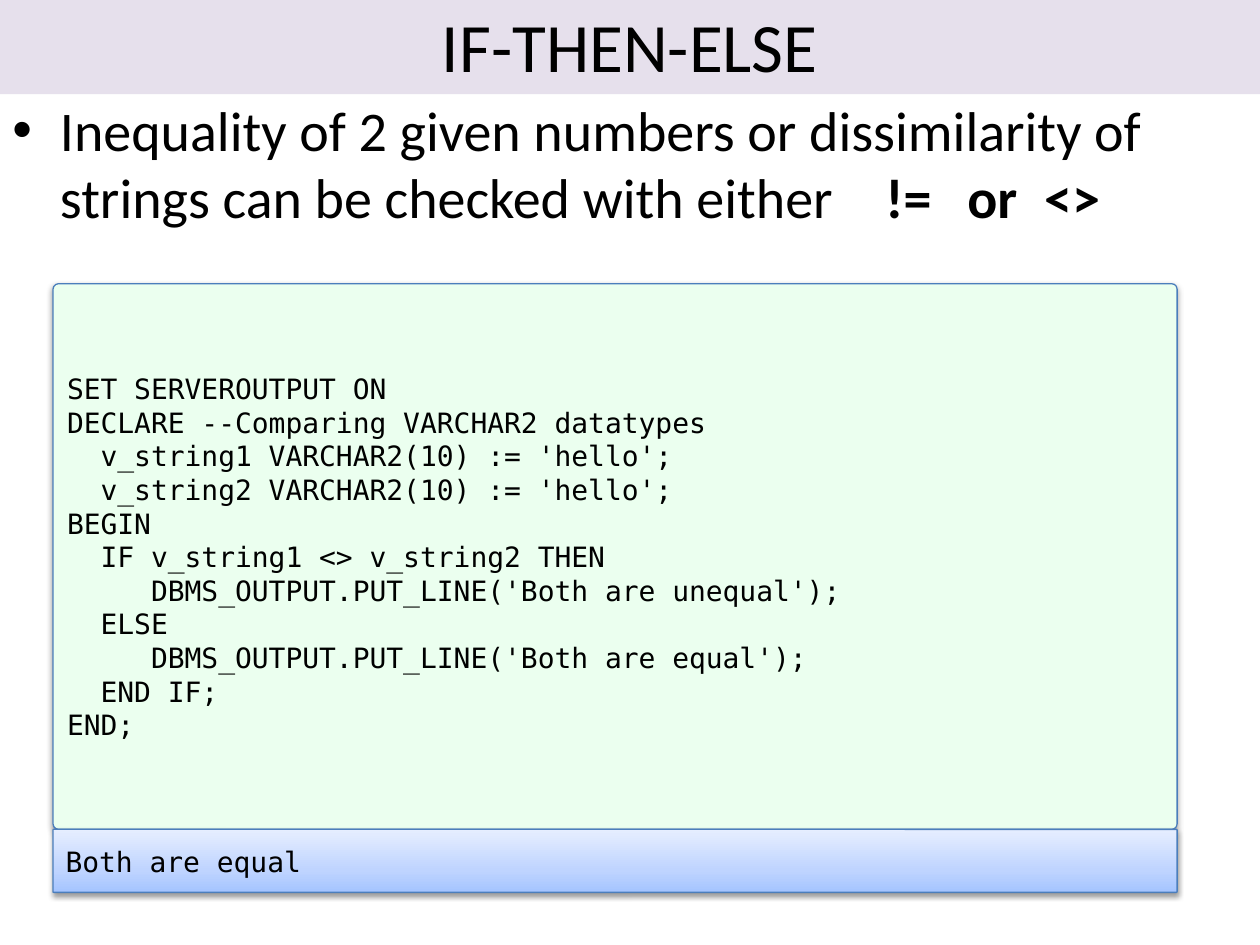
from copy import deepcopy

from lxml.etree import SubElement
from pptx import Presentation
from pptx.dml.color import RGBColor
from pptx.enum.shapes import MSO_SHAPE
from pptx.enum.text import MSO_ANCHOR, PP_ALIGN
from pptx.oxml.ns import qn
from pptx.util import Cm, Pt

CODE = """SET SERVEROUTPUT ON
DECLARE --Comparing VARCHAR2 datatypes
  v_string1 VARCHAR2(10) := 'hello';
  v_string2 VARCHAR2(10) := 'hello';
BEGIN
  IF v_string1 <> v_string2 THEN
     DBMS_OUTPUT.PUT_LINE('Both are unequal');
  ELSE
     DBMS_OUTPUT.PUT_LINE('Both are equal');
  END IF;
END;"""
OUTPUT_STOPS = [(0, "A4C4FF"), (0.35, "BFD4FF"), (1, "E6EEFF")]


def color(hex_string):
    """Return the colour for a hex string."""
    return RGBColor.from_string(hex_string)


def set_font(paragraph, name, size):
    """Give a paragraph its black font."""
    paragraph.font.name = name
    paragraph.font.size = Pt(size)
    paragraph.font.color.rgb = color("000000")


def add_title(slide, left, top, width, height, text):
    """Add the tinted title band."""
    shape = slide.shapes.add_shape(
        MSO_SHAPE.RECTANGLE, Cm(left), Cm(top), Cm(width), Cm(height))
    shape.shadow.inherit = False
    shape.fill.solid()
    shape.fill.fore_color.rgb = color("E6E0EC")
    shape.line.fill.background()
    shape.text_frame.vertical_anchor = MSO_ANCHOR.MIDDLE
    paragraph = shape.text_frame.paragraphs[0]
    paragraph.text = text
    paragraph.alignment = PP_ALIGN.CENTER
    set_font(paragraph, "Calibri", 39.6)


def add_bullet(slide, left, top, width, height, text, operators, tab_stops):
    """Add the bullet, with bold operators set on tab stops."""
    box = slide.shapes.add_textbox(Cm(left), Cm(top), Cm(width), Cm(height))
    box.text_frame.word_wrap = True
    paragraph = box.text_frame.paragraphs[0]
    properties = paragraph._p.get_or_add_pPr()
    properties.set("marL", str(Cm(0.96)))
    properties.set("indent", str(Cm(-0.96)))
    SubElement(properties, qn("a:buFont"), typeface="Arial")
    SubElement(properties, qn("a:buChar"), char="•")
    tabs = SubElement(properties, qn("a:tabLst"))
    for position in tab_stops:
        SubElement(tabs, qn("a:tab"), pos=str(Cm(position)), algn="l")
    set_font(paragraph, "Calibri", 32)
    paragraph.add_run().text = text
    for operator in operators:
        run = paragraph.add_run()
        run.text = "\t" + operator
        run.font.bold = True


def add_panel(slide, left, top, width, height, text):
    """Add an outlined, shadowed panel of monospaced lines."""
    shape = slide.shapes.add_shape(
        MSO_SHAPE.ROUNDED_RECTANGLE, Cm(left), Cm(top), Cm(width), Cm(height))
    shape.adjustments[0] = 0.01
    shape.line.color.rgb = color("4B7EBC")
    shape.line.width = Pt(0.75)
    shape.shadow.inherit = False
    effects = shape._element.spPr.find(qn("a:effectLst"))
    shadow = SubElement(effects, qn("a:outerShdw"), blurRad=str(Pt(3.1)),
                        dist=str(Pt(1.6)), dir="5400000", rotWithShape="0")
    shade = SubElement(shadow, qn("a:srgbClr"), val="000000")
    SubElement(shade, qn("a:alpha"), val="38000")
    frame = shape.text_frame
    frame.word_wrap = True
    frame.vertical_anchor = MSO_ANCHOR.MIDDLE
    frame.text = text
    for paragraph in frame.paragraphs:
        paragraph.alignment = PP_ALIGN.LEFT
        set_font(paragraph, "DejaVu Sans Mono", 16)
    return shape


def add_listing(slide, left, top, width, code_height, output_height):
    """Stack the code panel on its output panel."""
    code = add_panel(slide, left, top, width, code_height, CODE)
    code.fill.solid()
    code.fill.fore_color.rgb = color("EBFFEF")
    output = add_panel(slide, left, top + code_height, width, output_height,
                       "Both are equal")
    output.fill.gradient()
    output.fill.gradient_angle = 90
    stop_list = output._element.spPr.find(qn("a:gradFill")).find(qn("a:gsLst"))
    stop_list.append(deepcopy(stop_list[0]))
    for stop, (position, hex_string) in zip(output.fill.gradient_stops, OUTPUT_STOPS):
        stop.position = position
        stop.color.rgb = color(hex_string)


def main():
    """Build and save the slide."""
    presentation = Presentation()
    presentation.slide_width = Cm(25.4)
    presentation.slide_height = Cm(19.05)
    slide = presentation.slides.add_slide(presentation.slide_layouts[6])
    add_title(slide, 0, -0.08, 25.4, 1.98, "IF-THEN-ELSE")
    add_bullet(slide, 0, 1.8, 25.4, 17.25,
               "Inequality of 2 given numbers or dissimilarity of strings "
               "can be checked with either",
               ["!=", "or", "<>"], [17.6, 19.25, 20.8])
    add_listing(slide, 1.07, 5.72, 22.66, 11, 1.27)
    presentation.save("out.pptx")


if __name__ == "__main__":
    main()
